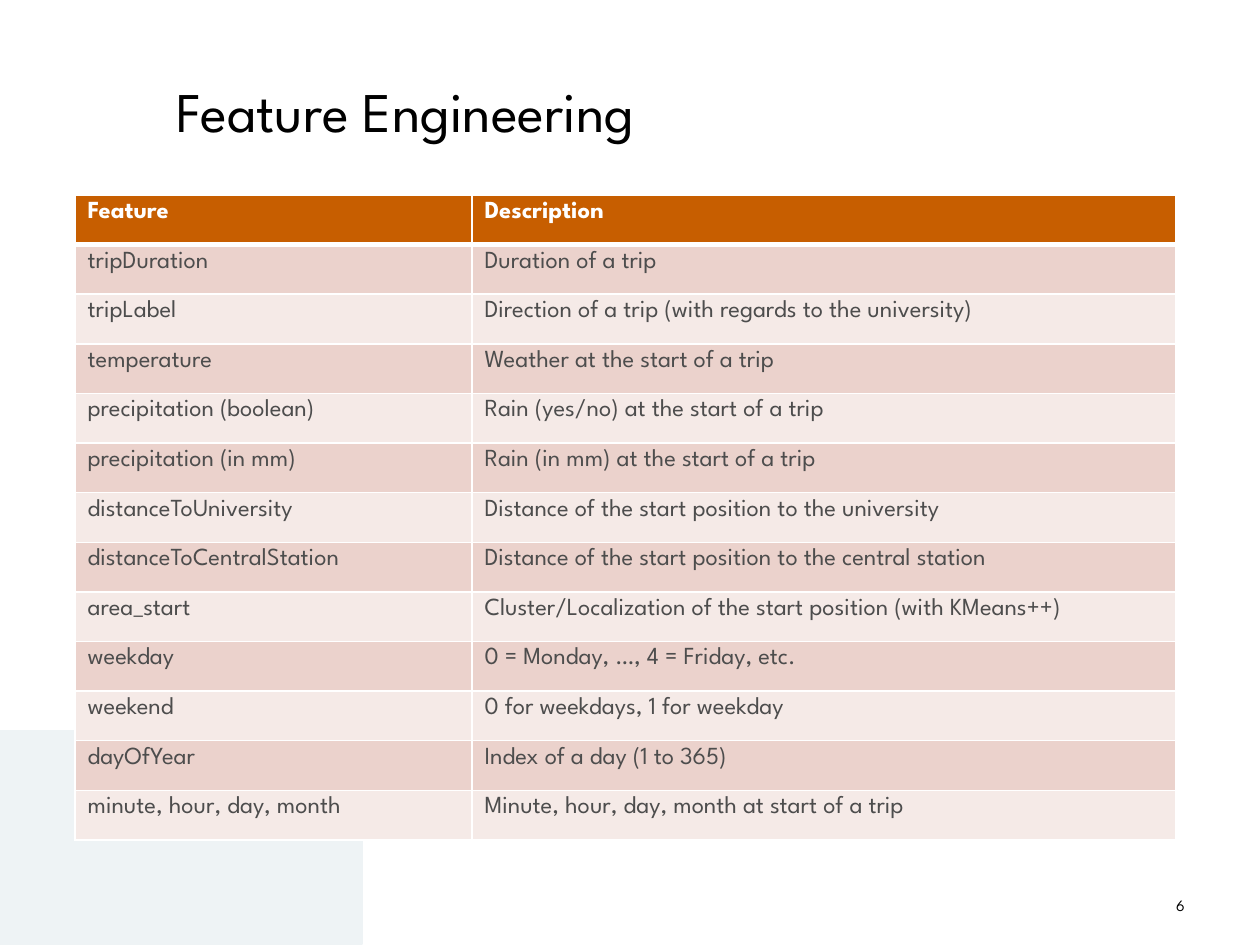
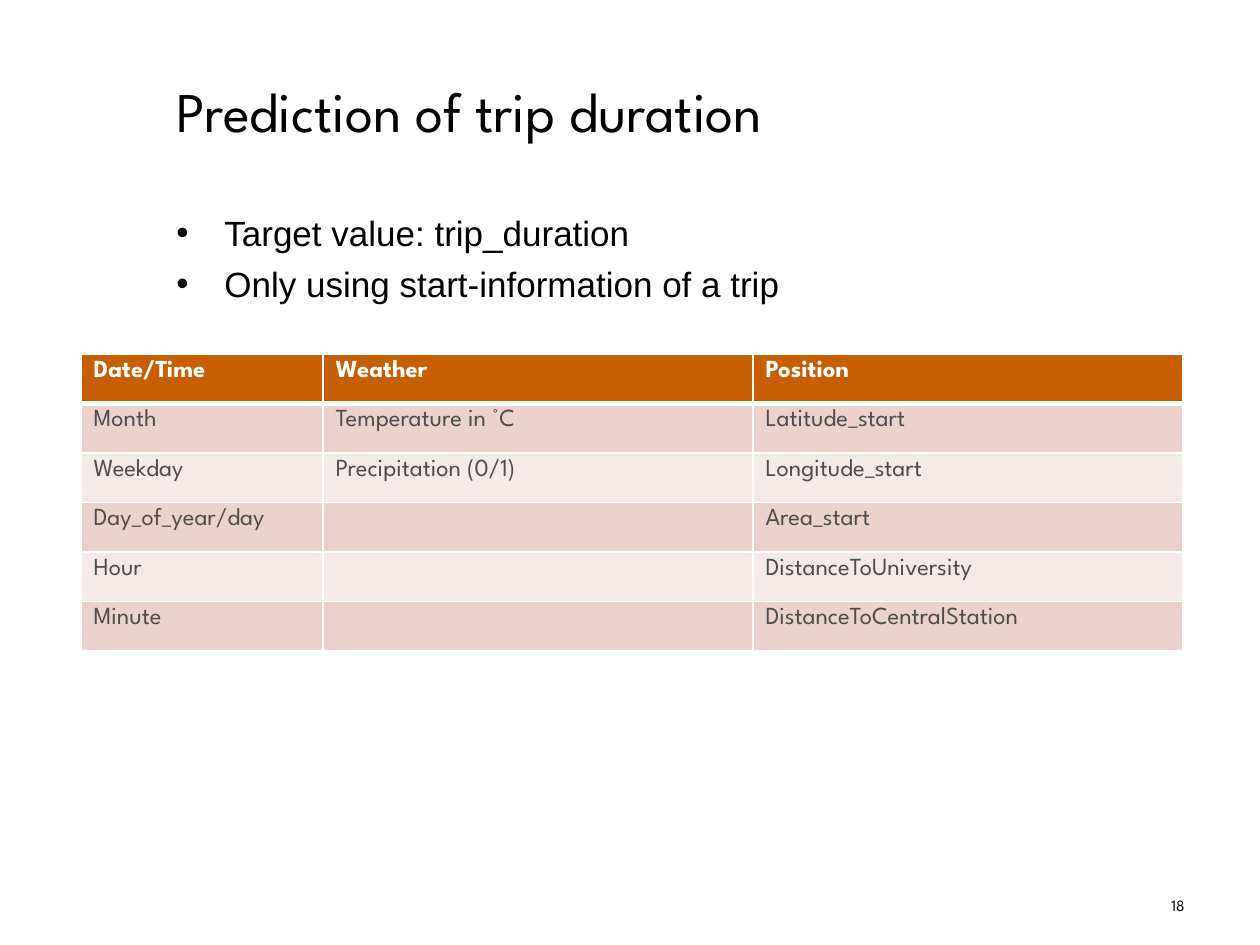
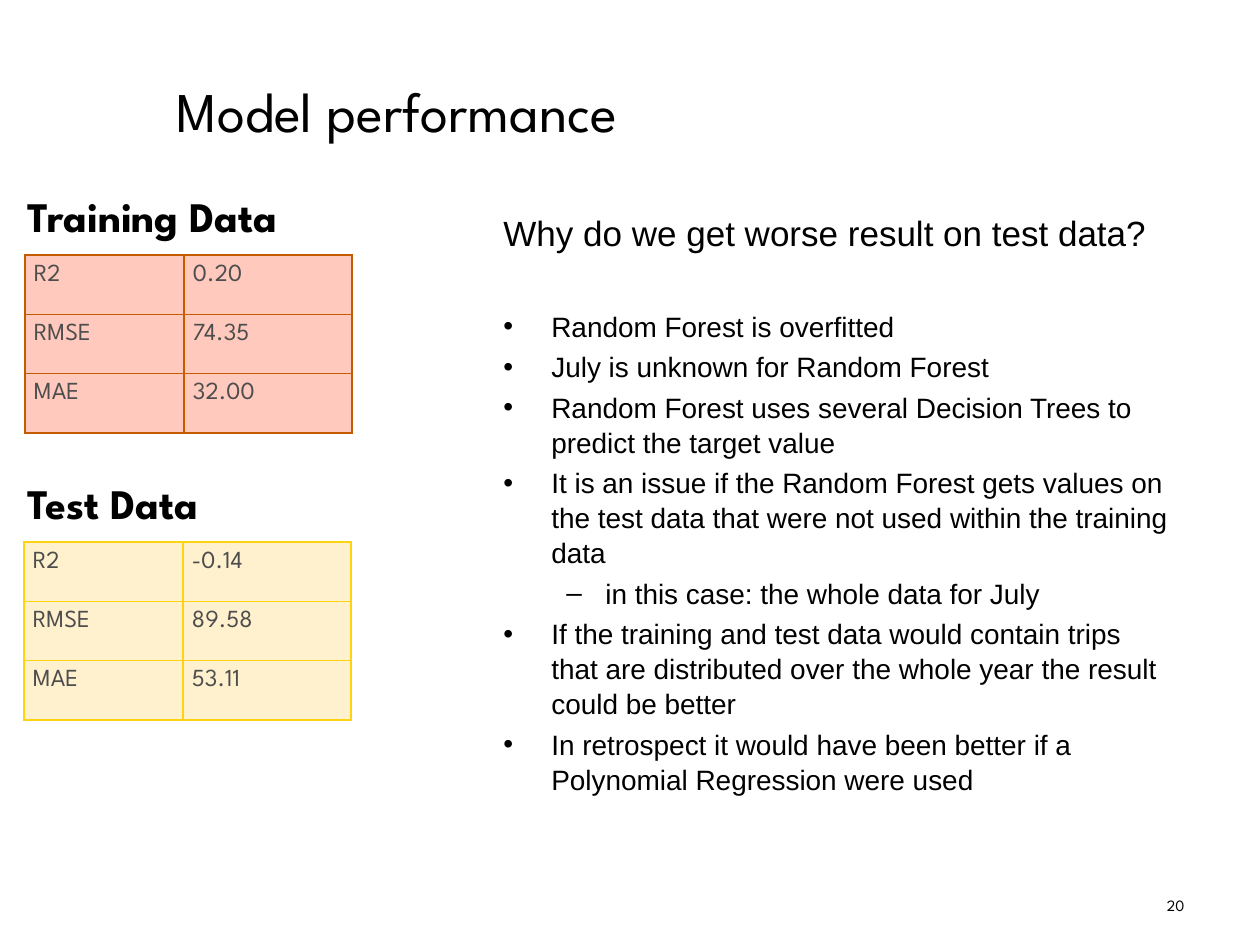
from lxml.etree import SubElement
from pptx import Presentation
from pptx.dml.color import RGBColor
from pptx.enum.shapes import MSO_SHAPE as Shape
from pptx.enum.text import MSO_ANCHOR as Anchor, MSO_AUTO_SIZE as AutoSize, PP_ALIGN as Align
from pptx.oxml.ns import qn
from pptx.util import Emu, Pt

SCALE = 914400 // 126
HEAD_FONT, BODY_FONT = "League Spartan", "Arial"

BLACK = RGBColor(0x00, 0x00, 0x00)
WHITE = RGBColor(0xFF, 0xFF, 0xFF)
GREY = RGBColor(0x4D, 0x4D, 0x4D)
ORANGE = RGBColor(0xC7, 0x5E, 0x00)
ROSE = RGBColor(0xEB, 0xD2, 0xCC)
PALE_ROSE = RGBColor(0xF5, 0xEA, 0xE7)
MIST = RGBColor(0xEE, 0xF3, 0xF5)
SALMON = RGBColor(0xFF, 0xC9, 0xBD)
RUST = RGBColor(0xC3, 0x5C, 0x00)
CREAM = RGBColor(0xFF, 0xF0, 0xCE)
YELLOW = RGBColor(0xFE, 0xD3, 0x10)

# Boxes are left, top, width, height in pixels.
TITLE_BOX = (164, 26, 1022, 169)
NUMBER_BOX = (903, 890, 294, 36)
CORNER_BOX = (0, 731, 362, 213)
BODY_BOX = (164, 204, 1022, 645)
ANSWER_BOX = (491, 204, 695, 645)

# Bullet styles: sign, left margin, hanging indent.
BULLETS = {"plain": None, "dot": ("\u2022", 48, -48), "dash": ("\u2013", 102, -39)}

FEATURES = [
    ("Feature", "Description"),
    ("tripDuration", "Duration of a trip"),
    ("tripLabel", "Direction of a trip (with regards to the university)"),
    ("temperature", "Weather at the start of a trip"),
    ("precipitation (boolean)", "Rain (yes/no) at the start of a trip"),
    ("precipitation (in mm)", "Rain (in mm) at the start of a trip"),
    ("distanceToUniversity", "Distance of the start position to the university"),
    ("distanceToCentralStation", "Distance of the start position to the central station"),
    ("area_start", "Cluster/Localization of the start position (with KMeans++)"),
    ("weekday", "0 = Monday, \u2026, 4 = Friday, etc."),
    ("weekend", "0 for weekdays, 1 for weekday"),
    ("dayOfYear", "Index of a day (1 to 365)"),
    ("minute, hour, day, month", "Minute, hour, day, month at start of a trip"),
]

INPUTS = [
    ("Date/Time", "Weather", "Position"),
    ("Month", "Temperature in \u00b0C", "Latitude_start"),
    ("Weekday", "Precipitation (0/1)", "Longitude_start"),
    ("Day_of_year/day", "", "Area_start"),
    ("Hour", "", "DistanceToUniversity"),
    ("Minute", "", "DistanceToCentralStation"),
]

# Each line: bullet style, size, space before in points, text.
GOALS = [
    ("dot", 20, 4, "Target value: trip_duration"),
    ("dot", 20, 4, "Only using start-information of a trip"),
]

ANSWERS = [
    ("plain", 20, 4, "Why do we get worse result on test data?"),
    ("dot", 16, 31, "Random Forest is overfitted"),
    ("dot", 16, 3.2, "July is unknown for Random Forest"),
    ("dot", 16, 3.2, "Random Forest uses several Decision Trees to predict the target value"),
    ("dot", 16, 3.2, "It is an issue if the Random Forest gets values on the test data "
                     "that were not used within the training data"),
    ("dash", 16, 3.2, "in this case: the whole data for July"),
    ("dot", 16, 3.2, "If the training and test data would contain trips that are "
                     "distributed over the whole year the result could be better"),
    ("dot", 16, 3.2, "In retrospect it would have been better if a Polynomial "
                     "Regression were used"),
]

# Each score table: heading, heading top, table left and top, fill, border, rows.
SCORES = [
    ("Training Data", 175, (25, 255), SALMON, RUST,
     [("R2", "0.20"), ("RMSE", "74.35"), ("MAE", "32.00")]),
    ("Test Data", 462, (24, 542), CREAM, YELLOW,
     [("R2", "-0.14"), ("RMSE", "89.58"), ("MAE", "53.11")]),
]


def px(*lengths):
    """Turn pixels into EMU."""
    return [Emu(round(length * SCALE)) for length in lengths]


def style(para, size, font=HEAD_FONT, color=BLACK, bold=False):
    """Format every run of a paragraph."""
    for span in para.runs:
        span.font.size = Pt(size)
        span.font.name = font
        span.font.color.rgb = color
        span.font.bold = bold


def add_text(page, box, text, size, bold=False, align=Align.LEFT, anchor=Anchor.TOP):
    """Add a text box with one line."""
    frame = page.shapes.add_textbox(*px(*box)).text_frame
    frame.word_wrap = True
    frame.vertical_anchor = anchor
    frame.text = text
    frame.paragraphs[0].alignment = align
    style(frame.paragraphs[0], size, bold=bold)


def add_list(page, box, lines):
    """Add a text box with bulleted lines."""
    frame = page.shapes.add_textbox(*px(*box)).text_frame
    frame.word_wrap = True
    for index, (kind, size, gap, text) in enumerate(lines):
        para = frame.add_paragraph() if index else frame.paragraphs[0]
        para.text = text
        para.space_before = Pt(gap)
        para.line_spacing = 1.04
        style(para, size, BODY_FONT)
        if BULLETS[kind]:
            sign, margin, indent = BULLETS[kind]
            props = para._p.get_or_add_pPr()
            props.set("marL", str(px(margin)[0]))
            props.set("indent", str(px(indent)[0]))
            SubElement(props, qn("a:buFont"), typeface=BODY_FONT)
            SubElement(props, qn("a:buChar"), char=sign)
            para.level = int(kind == "dash")


def set_borders(cell, color, widths):
    """Draw the left, right, top and bottom borders of a cell."""
    props = cell._tc.get_or_add_tcPr()
    for side, width in zip("LRTB", widths):
        line = SubElement(props, qn("a:ln" + side), w=str(Pt(width)))
        fill = SubElement(line, qn("a:solidFill"))
        SubElement(fill, qn("a:srgbClr"), val=str(color))


def add_grid(page, corner, columns, height, rows, fills, border, width, header=False, inset=None):
    """Add a table with equal rows, cycling fills and an optional header row."""
    shape = page.shapes.add_table(len(rows), len(columns),
                                  *px(*corner, sum(columns), height))
    table = shape.table
    table.first_row = header
    table.horz_banding = False
    for column, length in zip(table.columns, px(*columns)):
        column.width = length
    for r, texts in enumerate(rows):
        table.rows[r].height = px(height / len(rows))[0]
        is_head = header and r == 0
        top = 3 if header and r == 1 else width
        bottom = 3 if is_head else width
        for c, text in enumerate(texts):
            cell = table.cell(r, c)
            set_borders(cell, border, (width, width, top, bottom))
            cell.fill.solid()
            cell.fill.fore_color.rgb = ORANGE if is_head else fills[(r - header) % len(fills)]
            if inset:
                cell.margin_left = cell.margin_right = px(inset)[0]
                cell.margin_top = cell.margin_bottom = px(inset)[0]
            if text:
                cell.text_frame.text = text
                style(cell.text_frame.paragraphs[0], 14,
                      color=WHITE if is_head else GREY, bold=is_head)
            else:
                cell.margin_top = cell.margin_bottom = 0


def add_page(deck, title, number):
    """Add a slide with its title and page number."""
    page = deck.slides.add_slide(deck.slide_layouts[5])
    box = page.shapes.title
    box.left, box.top, box.width, box.height = px(*TITLE_BOX)
    frame = box.text_frame
    frame.text = title
    frame.word_wrap = True
    frame.auto_size = AutoSize.NONE
    frame.vertical_anchor = Anchor.MIDDLE
    frame.paragraphs[0].alignment = Align.LEFT
    style(frame.paragraphs[0], 32)
    add_text(page, NUMBER_BOX, str(number), 9, align=Align.RIGHT)
    return page


def add_corner(page):
    """Add the pale block in the lower left corner."""
    block = page.shapes.add_shape(Shape.RECTANGLE, *px(*CORNER_BOX))
    block.shadow.inherit = False
    block.fill.solid()
    block.fill.fore_color.rgb = MIST
    block.line.color.rgb = MIST
    block.line.width = Pt(0.75)


deck = Presentation()
deck.slide_width, deck.slide_height = px(1260, 945)

page = add_page(deck, "Feature Engineering", 6)
add_corner(page)
add_grid(page, (75, 195), (397, 704), 645, FEATURES, (ROSE, PALE_ROSE), WHITE, 1, header=True)

page = add_page(deck, "Prediction of trip duration", 18)
add_list(page, BODY_BOX, GOALS)
add_grid(page, (81, 354), (242, 430, 430), 297, INPUTS, (ROSE, PALE_ROSE), WHITE, 1, header=True)

page = add_page(deck, "Model performance", 20)
add_list(page, ANSWER_BOX, ANSWERS)
for heading, top, corner, fill, border, rows in SCORES:
    add_text(page, (15, top, 428, 81), heading, 24, bold=True, anchor=Anchor.MIDDLE)
    add_grid(page, corner, (159, 168), 178, rows, (fill,), border, 0.75, inset=9)

deck.save("out.pptx")
